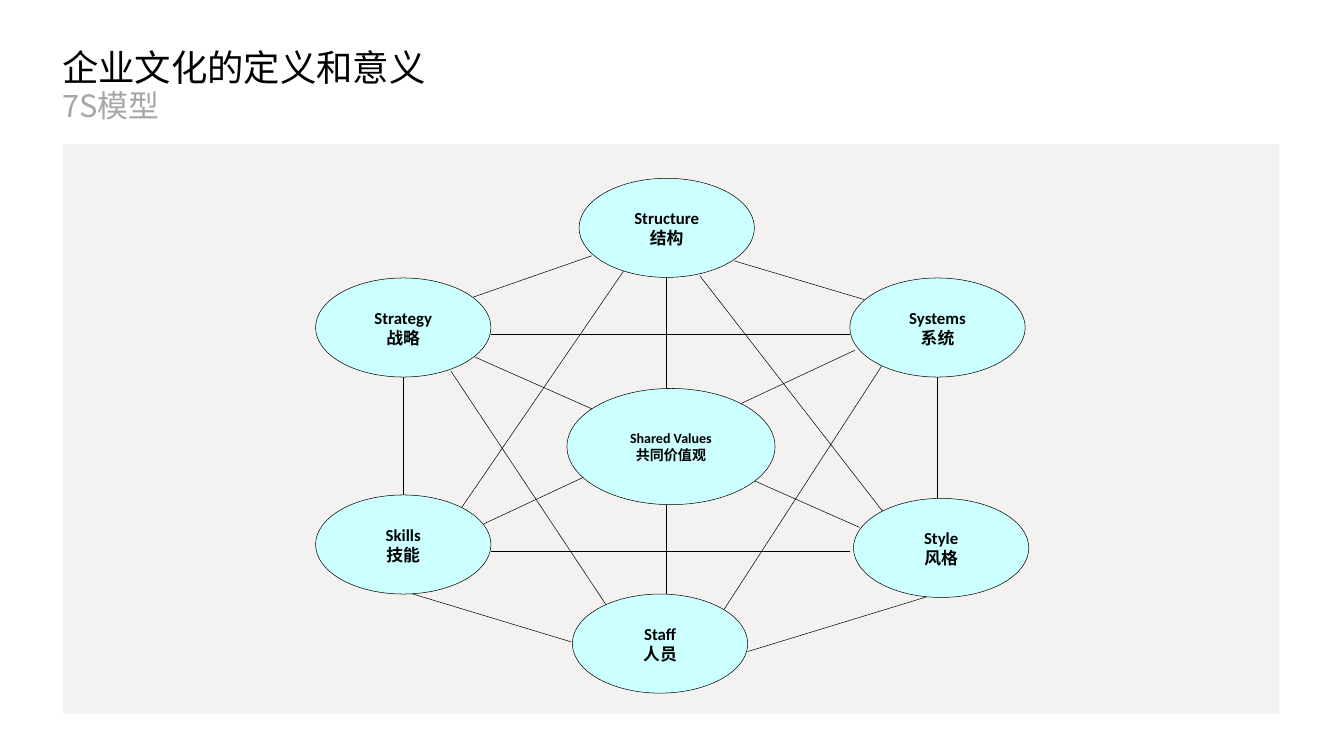
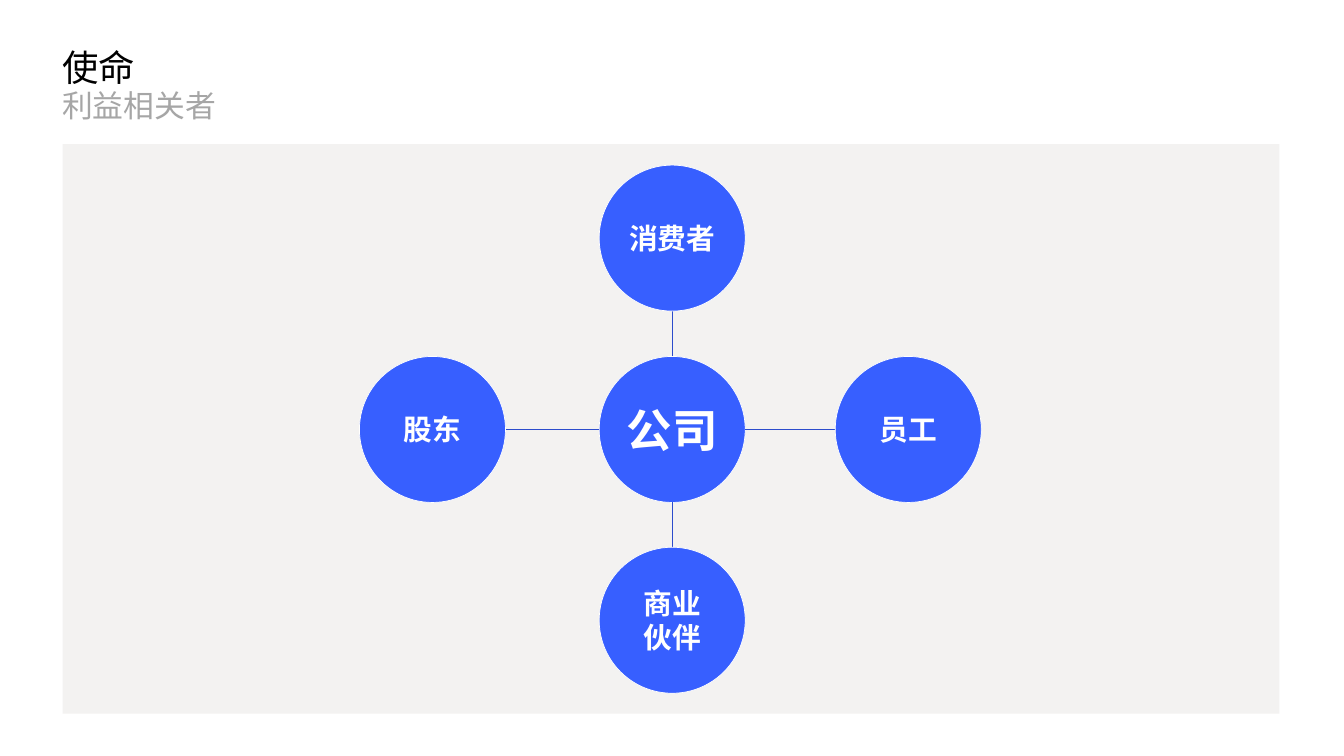
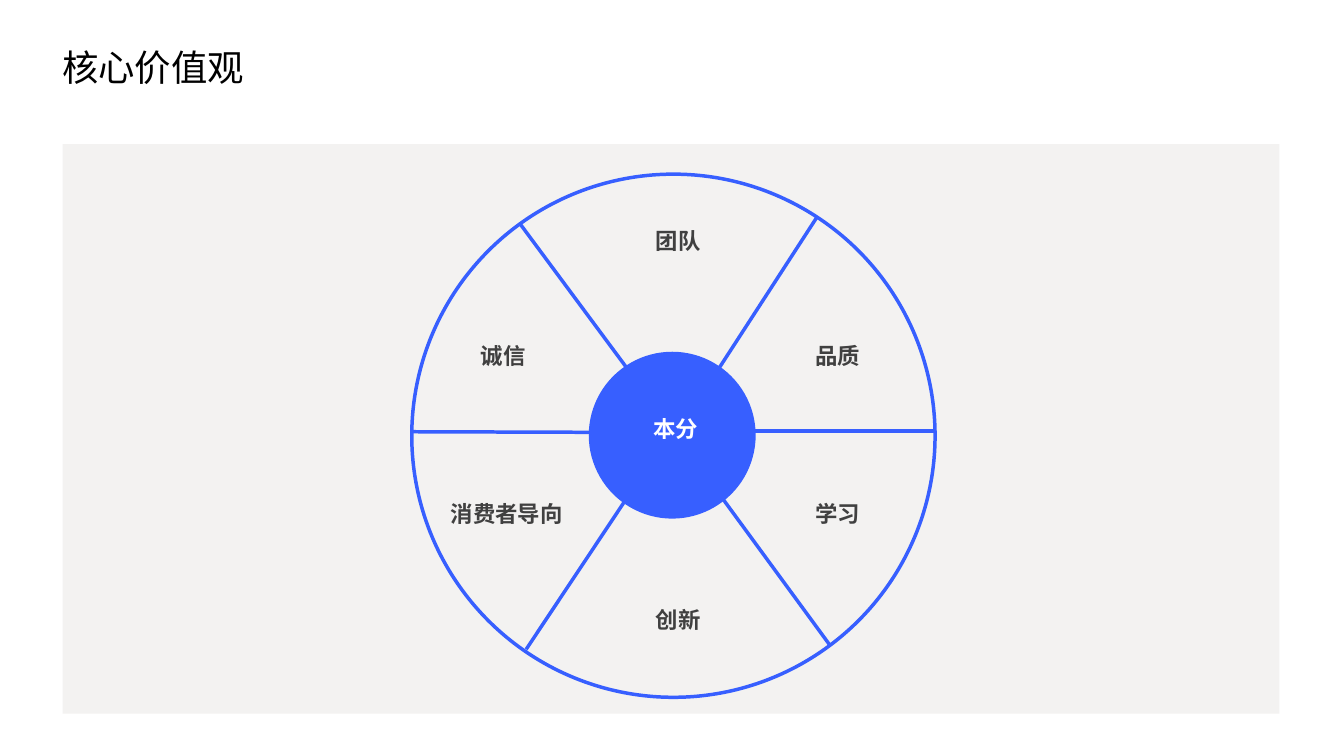
from dataclasses import dataclass

from lxml import etree
from pptx import Presentation
from pptx.dml.color import RGBColor
from pptx.enum.shapes import MSO_CONNECTOR, MSO_SHAPE
from pptx.enum.text import MSO_ANCHOR, MSO_AUTO_SIZE, PP_ALIGN
from pptx.oxml.ns import qn
from pptx.util import Inches, Pt

STRAIGHT = MSO_CONNECTOR.STRAIGHT
OVAL, RECT = MSO_SHAPE.OVAL, MSO_SHAPE.RECTANGLE
MIDDLE = MSO_ANCHOR.MIDDLE
NO_FIT = MSO_AUTO_SIZE.NONE
LEFT, CENTER = PP_ALIGN.LEFT, PP_ALIGN.CENTER

BLACK = RGBColor(0x00, 0x00, 0x00)
WHITE = RGBColor(0xFF, 0xFF, 0xFF)
GREY = RGBColor(0xA6, 0xA6, 0xA6)
DARK = RGBColor(0x40, 0x40, 0x40)
PANEL_FILL = RGBColor(0xF3, 0xF2, 0xF1)
CYAN = RGBColor(0xCC, 0xFF, 0xFF)
BLUE = RGBColor(0x37, 0x5F, 0xFF)
DEEP_BLUE = RGBColor(0x2C, 0x4C, 0xCC)

TITLE_FONT = "Noto Sans CJK JP"
TEXT_FONT = "Noto Sans CJK SC"
LATIN_FONT = "Calibri"
SECTION_LAYOUT = 2


@dataclass
class Box:
    """A region in inches, addressed in percent of its width and height."""
    left: float
    top: float
    width: float
    height: float

    def point(self, x, y):
        """Return the slide position of a point given in percent."""
        return self.left + self.width * x / 100, self.top + self.height * y / 100

    def around(self, x, y, width, height):
        """Return a box of the given percent size centred on a point."""
        cx, cy = self.point(x, y)
        w, h = self.width * width / 100, self.height * height / 100
        return Box(cx - w / 2, cy - h / 2, w, h)

    def circle(self, x, y, width):
        """Return a square box centred on a point, sized by percent of width."""
        return self.around(x, y, width, width * self.width / self.height)

    def emu(self):
        """Return left, top, width and height as lengths."""
        return [Inches(v) for v in (self.left, self.top, self.width, self.height)]


TITLE_BOX = Box(1.23, 0.61, 20.11, 1)
SUBTITLE_BOX = Box(1.23, 1.62, 20.11, 0.58)
PANEL = Box(1.24, 2.86, 24.14, 11.3)

SEVEN_S = [
    ("Structure", "结构", 49.65, 14.7),
    ("Skills", "技能", 28, 70.3),
    ("Strategy", "战略", 28, 32.2),
    ("Style", "风格", 72.2, 70.9),
    ("Systems", "系统", 71.9, 32.2),
    ("Staff", "人员", 49.1, 87.7),
]
SEVEN_S_LINKS = [
    (65.5, 67.3, 33.9, 37.4), (34.6, 66.7, 65.1, 36.2), (49.6, 23.3, 49.6, 79),
    (35.2, 33.4, 64.7, 33.4), (35.2, 71.4, 64.7, 71.4), (28, 40.9, 28, 61.6),
    (71.9, 40.9, 71.9, 62.2), (33.7, 26.9, 43.5, 19.6), (55.2, 20.5, 65.9, 27.3),
    (28.8, 79, 41.8, 87.4), (71, 79.5, 56.3, 89.1), (46.1, 22.3, 32.8, 63.8),
    (52.4, 23.2, 67.4, 64.5), (44.7, 81, 31.9, 39.8), (54.3, 81.9, 67.3, 39),
]
STAKEHOLDERS = [
    (["消费者"], 50.1, 16.5, 0, -1),
    (["员工"], 69.5, 50.1, 1, 0),
    (["商业", "伙伴"], 50.1, 83.6, 0, 1),
    (["股东"], 30.4, 50.1, -1, 0),
]
VALUES = [
    ("团队", 50.6, 17), ("品质", 63.7, 37.1), ("学习", 63.7, 64.9),
    ("创新", 50.6, 83.4), ("消费者导向", 36.5, 64.9), ("诚信", 36.2, 37.1),
]
SPOKES = [
    (46.3, 39.1, 37.6, 14), (53.9, 39.5, 62, 12.8), (38.1, 88.7, 46.2, 62.7),
    (63.1, 88.1, 54.3, 62.4), (56.6, 50.4, 71.6, 50.4), (28.7, 50.5, 43.5, 50.6),
]


def write(sp, lines, size, color, font, bold=True, align=CENTER, wrap=True, inset=0):
    """Fill a shape with vertically centred paragraphs in one style."""
    tf = sp.text_frame
    tf.auto_size, tf.word_wrap, tf.vertical_anchor = NO_FIT, wrap, MIDDLE
    tf.margin_left = tf.margin_right = tf.margin_top = tf.margin_bottom = Inches(inset)
    tf.text = "\n".join(lines)
    for p in tf.paragraphs:
        p.alignment = align
        p.font.size, p.font.bold, p.font.name = Pt(size), bold, font
        p.font.color.rgb = color
        ea = etree.SubElement(p.font._rPr, qn("a:ea"))
        ea.set("typeface", TEXT_FONT if font == LATIN_FONT else font)


def add_shape(s, kind, box, fill=None, line=None, weight=1):
    """Add a flat shape with optional fill and outline."""
    sp = s.shapes.add_shape(kind, *box.emu())
    sp.shadow.inherit = False
    if fill is None:
        sp.fill.background()
    else:
        sp.fill.solid()
        sp.fill.fore_color.rgb = fill
    if line is None:
        sp.line.fill.background()
    else:
        sp.line.color.rgb, sp.line.width = line, Pt(weight)
    return sp


def add_line(s, start, end, color, weight):
    """Add a straight flat connector between two slide positions."""
    cn = s.shapes.add_connector(STRAIGHT, *[Inches(v) for v in (*start, *end)])
    cn.line.color.rgb, cn.line.width = color, Pt(weight)
    etree.SubElement(cn._element.spPr, qn("a:effectLst"))


def add_links(s, box, links, color, weight):
    """Draw lines whose ends are given in percent of the box."""
    for x1, y1, x2, y2 in links:
        add_line(s, box.point(x1, y1), box.point(x2, y2), color, weight)


def add_heading(sp, box, text, size, color):
    """Place and style a heading placeholder."""
    sp.left, sp.top, sp.width, sp.height = box.emu()
    write(sp, [text], size, color, TITLE_FONT, bold=False, align=LEFT)
    p = sp.text_frame.paragraphs[0]
    p.line_spacing, p.space_before = 1.5, Pt(0)


def add_base(prs, title, subtitle=None):
    """Add a slide with heading, optional subtitle and grey panel."""
    s = prs.slides.add_slide(prs.slide_layouts[SECTION_LAYOUT])
    add_shape(s, RECT, PANEL, PANEL_FILL)
    add_heading(s.shapes.title, TITLE_BOX, title, 52, BLACK)
    body = s.placeholders[1]
    if subtitle:
        add_heading(body, SUBTITLE_BOX, subtitle, 44, GREY)
    else:
        body._element.getparent().remove(body._element)
    return s


def add_seven_s(s, box):
    """Draw the linked ellipses of the 7S model."""
    add_links(s, box, SEVEN_S_LINKS, BLACK, 0.75)
    nodes = [(names, box.around(x, y, 14.4, 17.4), 24) for *names, x, y in SEVEN_S]
    nodes.append((("Shared Values", "共同价值观"), box.around(50, 53.1, 17.1, 20.4), 20))
    for names, area, size in nodes:
        sp = add_shape(s, OVAL, area, CYAN, BLACK, 0.75)
        write(sp, names, size, BLACK, LATIN_FONT, wrap=False, inset=0.05)


def add_stakeholders(s, box):
    """Draw the company circle with a stakeholder on each side."""
    hub = box.circle(50.1, 50.1, 12)
    write(add_shape(s, OVAL, hub, BLUE, WHITE), ["公司"], 65, WHITE, TEXT_FONT)
    for lines, x, y, dx, dy in STAKEHOLDERS:
        node = box.circle(x, y, 12)
        start = hub.point(50 + 50 * dx, 50 + 50 * dy)
        end = node.point(50 - 50 * dx, 50 - 50 * dy)
        add_line(s, start, end, DEEP_BLUE, 1)
        write(add_shape(s, OVAL, node, BLUE, WHITE), lines, 41, WHITE, TEXT_FONT)


def add_label(s, box, text, x, y, color):
    """Add a bold wheel label centred on a point."""
    tb = s.shapes.add_textbox(*box.around(x, y, 20, 5.7).emu())
    write(tb, [text], 32, color, TEXT_FONT)


def add_value_wheel(s, box):
    """Draw the wheel of core values around its hub."""
    add_shape(s, OVAL, box.circle(50.2, 51.2, 43), line=BLUE, weight=5)
    add_links(s, box, SPOKES, BLUE, 5)
    add_shape(s, OVAL, box.circle(50.1, 51.1, 13.6), BLUE, BLUE, 2)
    add_label(s, box, "本分", 50.4, 49.9, WHITE)
    for text, x, y in VALUES:
        add_label(s, box, text, x, y, DARK)


def main():
    """Build the three slides."""
    prs = Presentation()
    prs.slide_width, prs.slide_height = Inches(26.66), Inches(15)
    add_seven_s(add_base(prs, "企业文化的定义和意义", "7S模型"), PANEL)
    add_stakeholders(add_base(prs, "使命", "利益相关者"), PANEL)
    add_value_wheel(add_base(prs, "核心价值观"), PANEL)
    prs.save("out.pptx")


if __name__ == "__main__":
    main()
